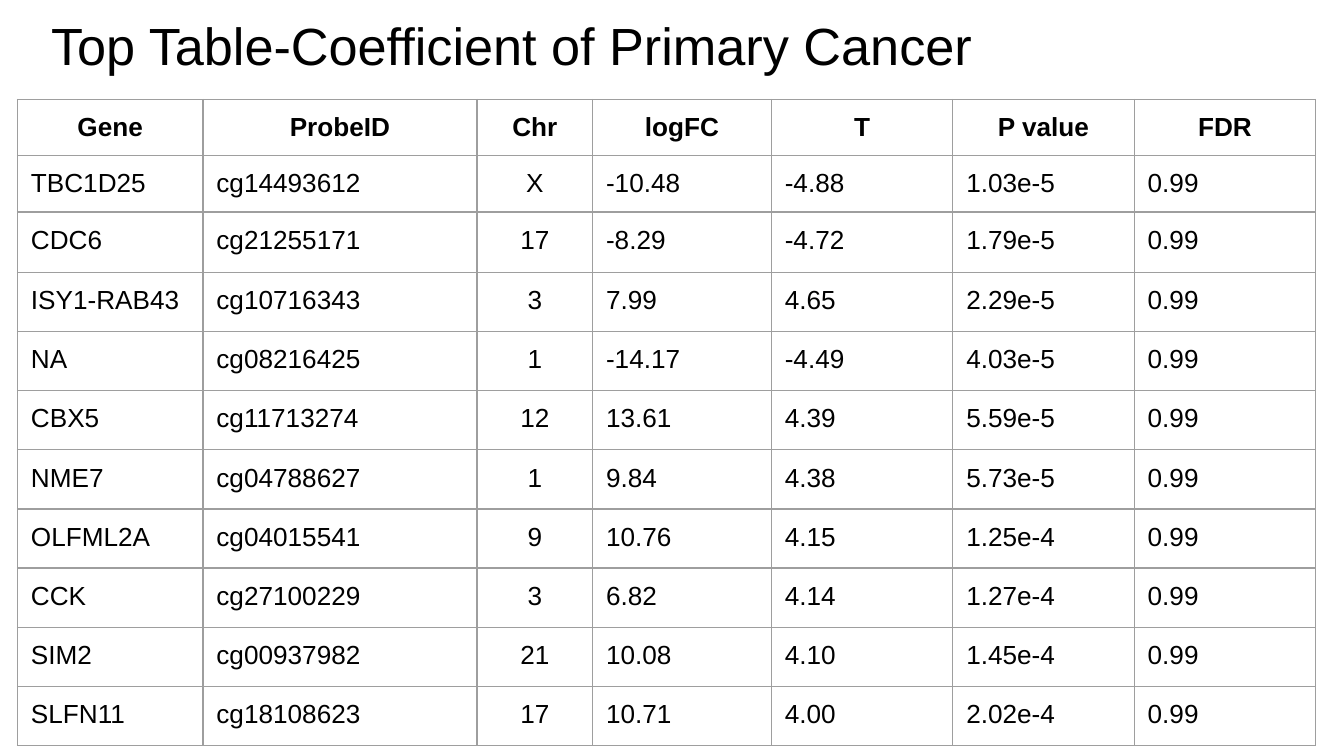
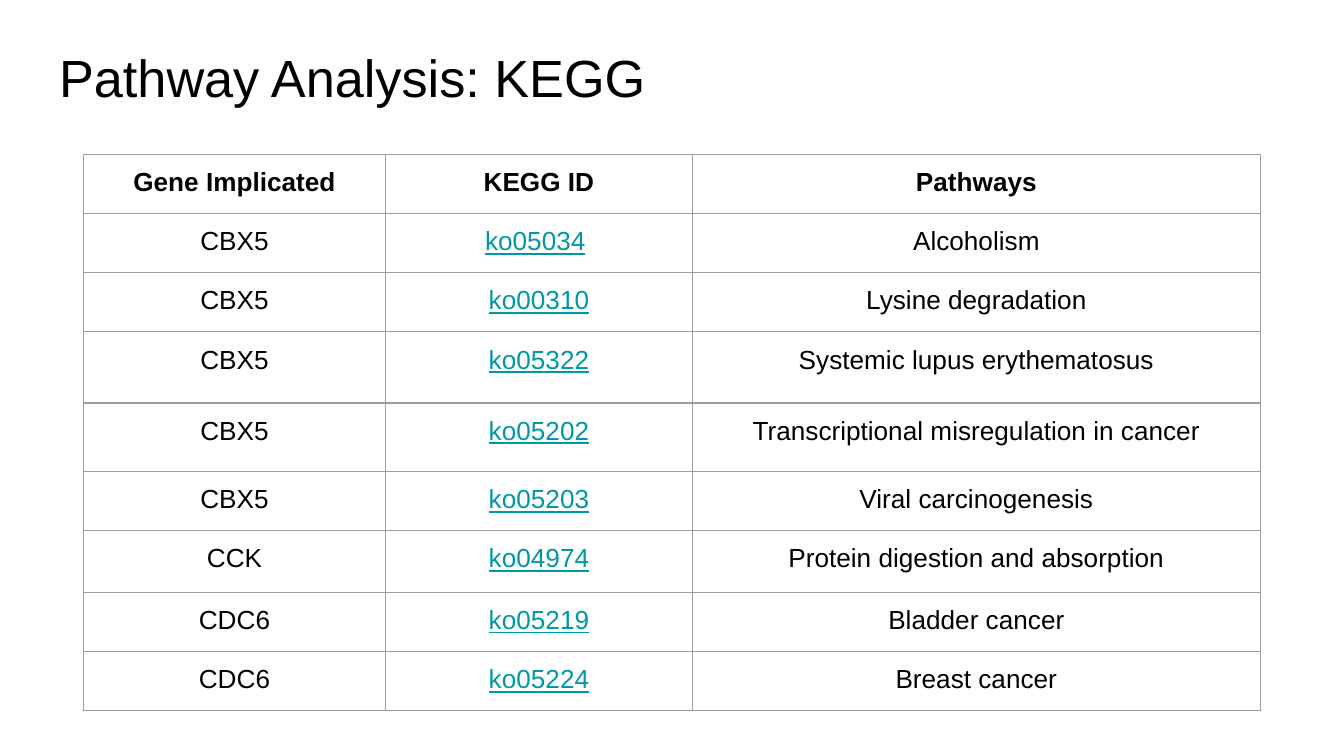
from pptx import Presentation
from pptx.dml.color import RGBColor
from pptx.enum.text import MSO_ANCHOR, MSO_AUTO_SIZE, PP_ALIGN
from pptx.oxml import parse_xml
from pptx.oxml.ns import nsdecls
from pptx.util import Inches, Pt

INK, LINK, GRID, PAPER = "000000", "0097A7", "9E9E9E", "FFFFFF"
WIDE = Inches(10)
TITLE = {"name": "Arial", "size": Pt(28), "bold": False}
BODY = {"name": "Arial", "size": Pt(14), "bold": False, "underline": False}
HEAD = BODY | {"bold": True}
URL = BODY | {"underline": True}
INSETS = {f"margin_{side}": Inches(0.1)
          for side in ("left", "right", "top", "bottom")}
FRAME = INSETS | {
    "vertical_anchor": MSO_ANCHOR.TOP, "word_wrap": True,
    "auto_size": MSO_AUTO_SIZE.NONE,
}

GENES = [
    ("Gene", "ProbeID", "Chr", "logFC", "T", "P value", "FDR"),
    ("TBC1D25", "cg14493612", "X", "-10.48", "-4.88", "1.03e-5", "0.99"),
    ("CDC6", "cg21255171", "17", "-8.29", "-4.72", "1.79e-5", "0.99"),
    ("ISY1-RAB43", "cg10716343", "3", "7.99", "4.65", "2.29e-5", "0.99"),
    ("NA", "cg08216425", "1", "-14.17", "-4.49", "4.03e-5", "0.99"),
    ("CBX5", "cg11713274", "12", "13.61", "4.39", "5.59e-5", "0.99"),
    ("NME7", "cg04788627", "1", "9.84", "4.38", "5.73e-5", "0.99"),
    ("OLFML2A", "cg04015541", "9", "10.76", "4.15", "1.25e-4", "0.99"),
    ("CCK", "cg27100229", "3", "6.82", "4.14", "1.27e-4", "0.99"),
    ("SIM2", "cg00937982", "21", "10.08", "4.10", "1.45e-4", "0.99"),
    ("SLFN11", "cg18108623", "17", "10.71", "4.00", "2.02e-4", "0.99"),
]
PATHWAYS = [
    ("Gene Implicated", "KEGG ID", "Pathways"),
    ("CBX5", "ko05034 ", "Alcoholism"),
    ("CBX5", "ko00310", "Lysine degradation"),
    ("CBX5", "ko05322", "Systemic lupus erythematosus"),
    ("CBX5", "ko05202", "Transcriptional misregulation in cancer"),
    ("CBX5", "ko05203", "Viral carcinogenesis"),
    ("CCK", "ko04974", "Protein digestion and absorption"),
    ("CDC6", "ko05219", "Bladder cancer"),
    ("CDC6", "ko05224", "Breast cancer"),
]


def paint(hue):
    """Turn a hex string into a colour."""
    return RGBColor.from_string(hue)


def apply(item, form):
    """Set each format value on an item."""
    for key, value in form.items():
        setattr(item, key, value)


def add_run(para, text, form, hue=INK):
    """Add a formatted run to a paragraph."""
    run = para.add_run()
    run.text = text
    apply(run.font, form)
    run.font.color.rgb = paint(hue)


def add_slide(deck, title, left, top):
    """Add a white slide with a title at the given place."""
    slide = deck.slides.add_slide(deck.slide_layouts[5])
    slide.background.fill.solid()
    slide.background.fill.fore_color.rgb = paint(PAPER)
    shape = slide.shapes.title
    apply(shape, {"left": Inches(left), "top": Inches(top),
                  "width": Inches(9.32), "height": Inches(0.63)})
    apply(shape.text_frame, FRAME)
    para = shape.text_frame.paragraphs[0]
    para.alignment = PP_ALIGN.LEFT
    add_run(para, title, TITLE)
    return slide


def add_edges(cell):
    """Draw the thin grey line on all four sides of a cell."""
    props = cell._tc.get_or_add_tcPr()
    for side in "LRTB":
        props.append(parse_xml(
            f'<a:ln{side} {nsdecls("a")} w="{Pt(0.75)}"><a:solidFill>'
            f'<a:srgbClr val="{GRID}"/></a:solidFill></a:ln{side}>'))


def fill_cell(cell, text, head, mid, link):
    """Write and format one table cell."""
    apply(cell, INSETS | {"vertical_anchor": MSO_ANCHOR.TOP})
    add_edges(cell)
    cell.fill.background()
    para = cell.text_frame.paragraphs[0]
    para.alignment = PP_ALIGN.CENTER if head or mid else PP_ALIGN.LEFT
    if link and not head:
        word = text.rstrip()
        add_run(para, word, URL, LINK)
        if word != text:
            add_run(para, text[len(word):], BODY)
    else:
        add_run(para, text, HEAD if head else BODY)


def add_grid(slide, data, left, top, widths, heights, mids, links=()):
    """Add a ruled table with some columns centred or styled as links."""
    table = slide.shapes.add_table(
        len(heights), len(widths), Inches(left), Inches(top),
        Inches(sum(widths)), Inches(sum(heights))).table
    apply(table, {"first_row": False, "horz_banding": False})
    for col, width in zip(table.columns, widths):
        col.width = Inches(width)
    for row, height in zip(table.rows, heights):
        row.height = Inches(height)
    for i, line in enumerate(data):
        for j, text in enumerate(line):
            fill_cell(table.cell(i, j), text, i == 0, j in mids, j in links)


def main():
    """Build both slides and save the deck."""
    deck = Presentation()
    apply(deck, {"slide_width": WIDE, "slide_height": WIDE * 9 // 16})
    slide = add_slide(deck, "Top Table-Coefficient of Primary Cancer", 0.28, 0)
    add_grid(slide, GENES, 0.13, 0.74,
             [1.38, 2.04, 0.86, 1.33] + [1.35] * 3,
             [0.31, 0.32, 0.45] + [0.44] * 8, mids=[2])
    slide = add_slide(deck, "Pathway Analysis: KEGG", 0.34, 0.24)
    add_grid(slide, PATHWAYS, 0.62, 1.15, [2.25, 2.28, 4.23],
             [0.44] * 3 + [0.53, 0.51, 0.44, 0.46, 0.44, 0.44],
             mids=range(3), links=[1])
    deck.save("out.pptx")


if __name__ == "__main__":
    main()
